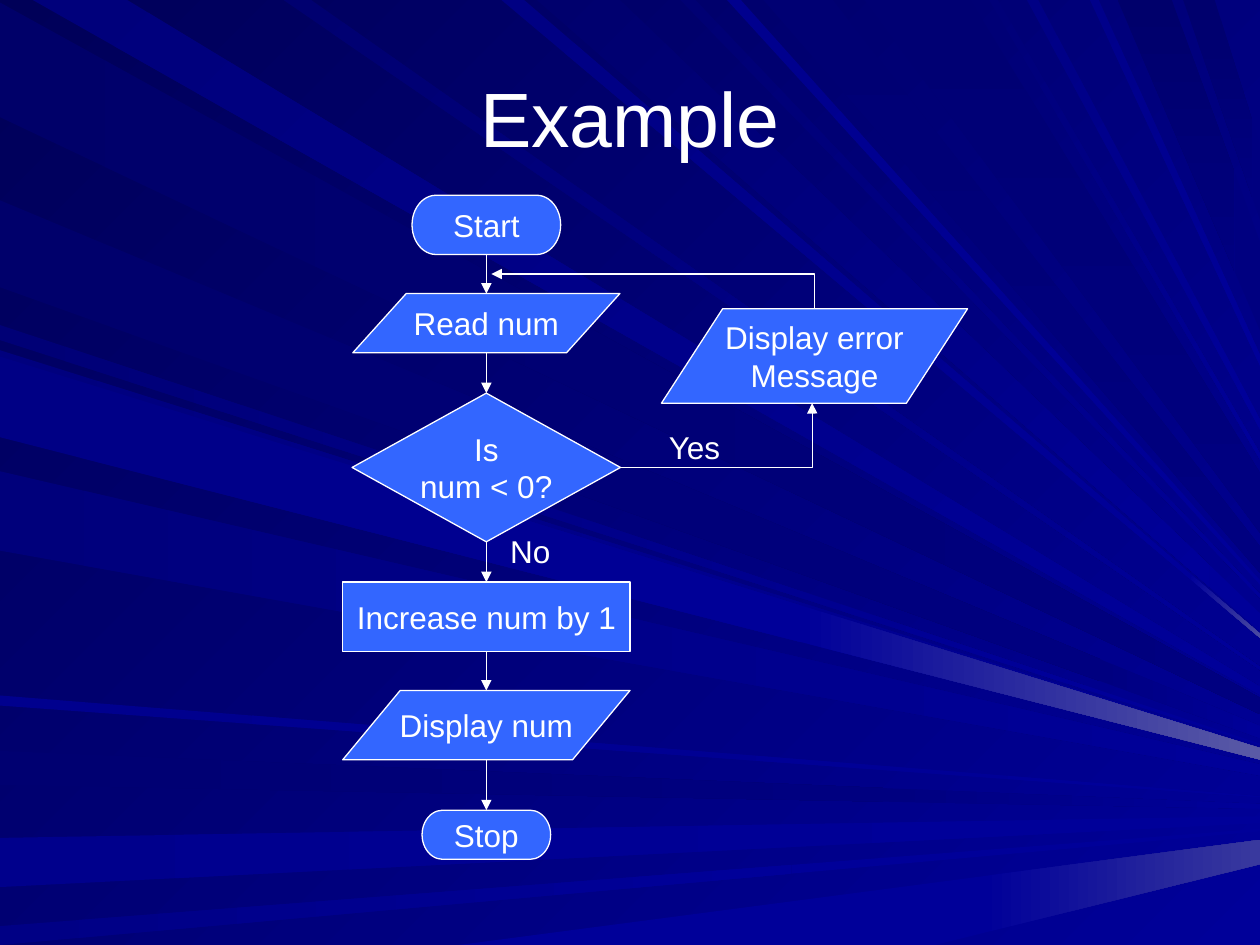
from dataclasses import dataclass
from itertools import pairwise

from lxml import etree
from pptx import Presentation
from pptx import util as u
from pptx.dml import color as col
from pptx.enum import shapes as sh, text as tx
from pptx.oxml import ns


@dataclass(frozen=True)
class Theme:
    font: str = "Arial"
    ink: str = "FFFFFF"
    node: str = "3366FF"
    dark: str = "000058"
    navy: str = "000080"
    blue: str = "000099"
    dim: str = "39399E"
    glow: str = "4A4AA1"
    shine: str = "5A5AA6"
    title: int = 44
    body: int = 18
    line: float = 0.75


@dataclass(frozen=True)
class Box:
    left: float
    top: float
    wide: float
    high: float

    @property
    def right(self):
        return self.left + self.wide

    @property
    def base(self):
        return self.top + self.high

    @property
    def midx(self):
        return self.left + self.wide / 2

    @property
    def midy(self):
        return self.top + self.high / 2

    def size(self):
        return map(u.Inches, (self.left, self.top, self.wide, self.high))


T = Theme()
WIDE, HIGH = 10, 7.5
MID = 3.86  # centre line of the main flow
HUB = (11.65, 6.45)  # point beyond the right edge where all rays meet
KIND = sh.MSO_SHAPE

# A ray enters between two places on one side of the slide and narrows
# towards the hub: side, from, to, blue level at the start, later shades,
# and where the shade in the middle (if any) is reached
RAYS = [
    ("left", 0.02, 0.93, "69", [T.navy], []),
    ("top", 0.26, 1.01, "7B", [T.blue], []),
    ("left", 5.96, 6.23, "71", [T.navy, T.blue], [7.01]),
    ("left", 6.65, 7.04, "8C", [T.blue, T.blue], [8.31]),
    ("left", 7.35, 7.5, "85", [T.blue, T.blue], [6.28]),
    ("base", 3.64, 7.42, "99", [T.blue, T.dim], [7.8]),
    ("left", 2.58, 2.7, "76", [T.blue, T.blue], [8.73]),
    ("left", 1.59, 2.28, "6B", [T.navy, T.blue], [8.73]),
    ("top", 3.98, 4.16, "83", [T.blue, T.glow], [9.45]),
    ("top", 4.26, 4.92, "6D", [T.blue, T.blue], [9.6]),
    ("top", 5.4, 5.52, "73", [T.blue], []),
    ("top", 6.06, 6.61, "73", [T.navy], []),
    ("top", 8.87, 9.3, "6B", [T.navy, T.navy], [9.8]),
    ("top", 9.39, 9.64, "6D", [T.navy, T.navy], [9.94]),
    ("left", 2.78, 3.42, "7E", [T.blue], []),
    ("left", 3.74, 4.37, "7B", [T.blue], []),
    ("left", 5.52, 5.6, "8E", [T.blue], []),
    ("top", 2.25, 2.47, "70", [T.blue], []),
    ("top", 5.77, 5.88, "8E", [T.blue], []),
    ("top", 6.86, 7.7, "73", [T.navy], []),
    ("top", 7.85, 7.92, "78", [T.blue], []),
    ("top", 8.15, 8.24, "85", [T.blue], []),
    ("top", 8.65, 8.72, "8A", [T.blue], []),
    ("left", 2.83, 3.47, "85", [T.blue, T.shine], [6.35]),
]

# Main flow: kind, top, width, height, text
FLOW = [
    (KIND.FLOWCHART_TERMINATOR, 1.55, 1.18, 0.47, "Start"),
    (KIND.FLOWCHART_DATA, 2.33, 2.12, 0.47, "Read num"),
    (KIND.FLOWCHART_DECISION, 3.12, 2.13, 1.18, "Is\vnum < 0?"),
    (KIND.FLOWCHART_PROCESS, 4.62, 2.28, 0.55, "Increase num by 1"),
    (KIND.FLOWCHART_DATA, 5.48, 2.28, 0.55, "Display num"),
    (KIND.FLOWCHART_TERMINATOR, 6.43, 1.02, 0.39, "Stop"),
]


def rgb(code):
    return col.RGBColor.from_string(code)


def paint(fill, first, last, angle=0):
    """Fill with one colour, or a gradient whose angle runs clockwise."""
    if first == last:
        fill.solid()
        fill.fore_color.rgb = rgb(first)
        return
    fill.gradient()
    fill.gradient_angle = -angle % 360
    for stop, code in zip(fill.gradient_stops, (first, last)):
        stop.color.rgb = rgb(code)


def entry(side, place):
    """Point at a place along one side of the slide."""
    return {"left": (0, place), "top": (place, 0), "base": (place, HIGH)}[side]


def toward(start, across):
    """Point on the line from start to the hub, never left of start."""
    across = max(across, start[0])
    share = (across - start[0]) / (HUB[0] - start[0])
    return across, start[1] + share * (HUB[1] - start[1])


def ray(slide, side, begin, end, level, later, cuts):
    """Draw one piece of the ray for each change of shade."""
    edges = entry(side, begin), entry(side, end)
    shades = pairwise(["0000" + level, *later])
    spans = pairwise([0, *cuts, WIDE])
    for (near, far), (first, last) in zip(spans, shades):
        out = [toward(edges[0], x) for x in (near, far)]
        back = [toward(edges[1], x) for x in (far, near)]
        dots = [tuple(map(u.Inches, dot)) for dot in out + back]
        form = slide.shapes.build_freeform(*dots[0])
        form.add_line_segments(dots[1:], close=True)
        shape = form.convert_to_shape()
        shape.shadow.inherit = False
        shape.line.fill.background()
        steep = 90 if last == T.navy else 45
        paint(shape.fill, first, last, steep if side == "top" else 0)


def write(shape, words, size=T.body, align=tx.PP_ALIGN.CENTER,
          anchor=tx.MSO_ANCHOR.MIDDLE, wrap=False):
    frame = shape.text_frame
    frame.text = words
    frame.word_wrap = wrap
    frame.vertical_anchor = anchor
    for para in frame.paragraphs:
        para.alignment = align
        for run in para.runs:
            run.font.name = T.font
            run.font.size = u.Pt(size)
            run.font.color.rgb = rgb(T.ink)


def label(slide, box, words, **form):
    write(slide.shapes.add_textbox(*box.size()), words, **form)


def trace(line):
    line.color.rgb = rgb(T.ink)
    line.width = u.Pt(T.line)


def node(slide, kind, box, words):
    shape = slide.shapes.add_shape(kind, *box.size())
    shape.shadow.inherit = False
    paint(shape.fill, T.node, T.node)
    trace(shape.line)
    write(shape, words)
    return box


def arrow(slide, start, end, kind=sh.MSO_CONNECTOR.STRAIGHT):
    link = slide.shapes.add_connector(kind, *map(u.Inches, (*start, *end)))
    trace(link.line)
    edge = link.line._get_or_add_ln()
    etree.SubElement(edge, ns.qn("a:tailEnd"), type="triangle")
    props = link._element.spPr
    etree.SubElement(props, ns.qn("a:effectLst"))
    return props


def across_up(slide, start, end):
    """Elbow that runs across first, then straight up to its end."""
    props = arrow(slide, start, end, sh.MSO_CONNECTOR.ELBOW)
    guides = props.find(ns.qn("a:prstGeom")).find(ns.qn("a:avLst"))
    etree.SubElement(guides, ns.qn("a:gd"), name="adj1", fmla="val 100100")


def up_back(slide, start, end):
    """Elbow that runs up first, then left: a two-part bend turned by 270."""
    midx, midy = ((a + b) / 2 for a, b in zip(start, end))
    halfx, halfy = (abs(a - b) / 2 for a, b in zip(start, end))
    props = arrow(slide, (midx - halfy, midy + halfx),
                  (midx + halfy, midy - halfx), sh.MSO_CONNECTOR.ELBOW)
    props.find(ns.qn("a:prstGeom")).set("prst", "bentConnector2")
    props.find(ns.qn("a:xfrm")).set("rot", str(270 * 60000))


def main():
    deck = Presentation()
    deck.slide_width, deck.slide_height = u.Inches(WIDE), u.Inches(HIGH)
    slide = deck.slides.add_slide(deck.slide_layouts[6])

    # Backdrop
    paint(slide.background.fill, T.dark, T.blue, 45)
    for item in RAYS:
        ray(slide, *item)
    label(slide, Box(0.5, 0.3, 9, 1.25), "Example", size=T.title, wrap=True)

    # Main flow, with an arrow from each step to the next
    steps = [node(slide, kind, Box(MID - wide / 2, top, wide, high), words)
             for kind, top, wide, high, words in FLOW]
    for step, after in pairwise(steps):
        arrow(slide, (MID, step.base), (MID, after.top))

    # Error branch: out of the test, and back in above the reading step
    begin, read, test = steps[:3]
    error = node(slide, KIND.FLOWCHART_DATA, Box(5.25, 2.45, 2.43, 0.75),
                 "Display error\nMessage")
    across_up(slide, (test.right, test.midy), (error.midx - 0.02, error.base))
    up_back(slide, (error.midx, error.top),
            (MID + 0.04, (begin.base + read.top) / 2))

    # Answers
    for box, words in ((Box(3.95, 4.17, 0.52, 0.4), "No"),
                       (Box(5.21, 3.35, 0.63, 0.4), "Yes")):
        label(slide, box, words, align=tx.PP_ALIGN.LEFT,
              anchor=tx.MSO_ANCHOR.TOP)

    deck.save("out.pptx")


if __name__ == "__main__":
    main()
